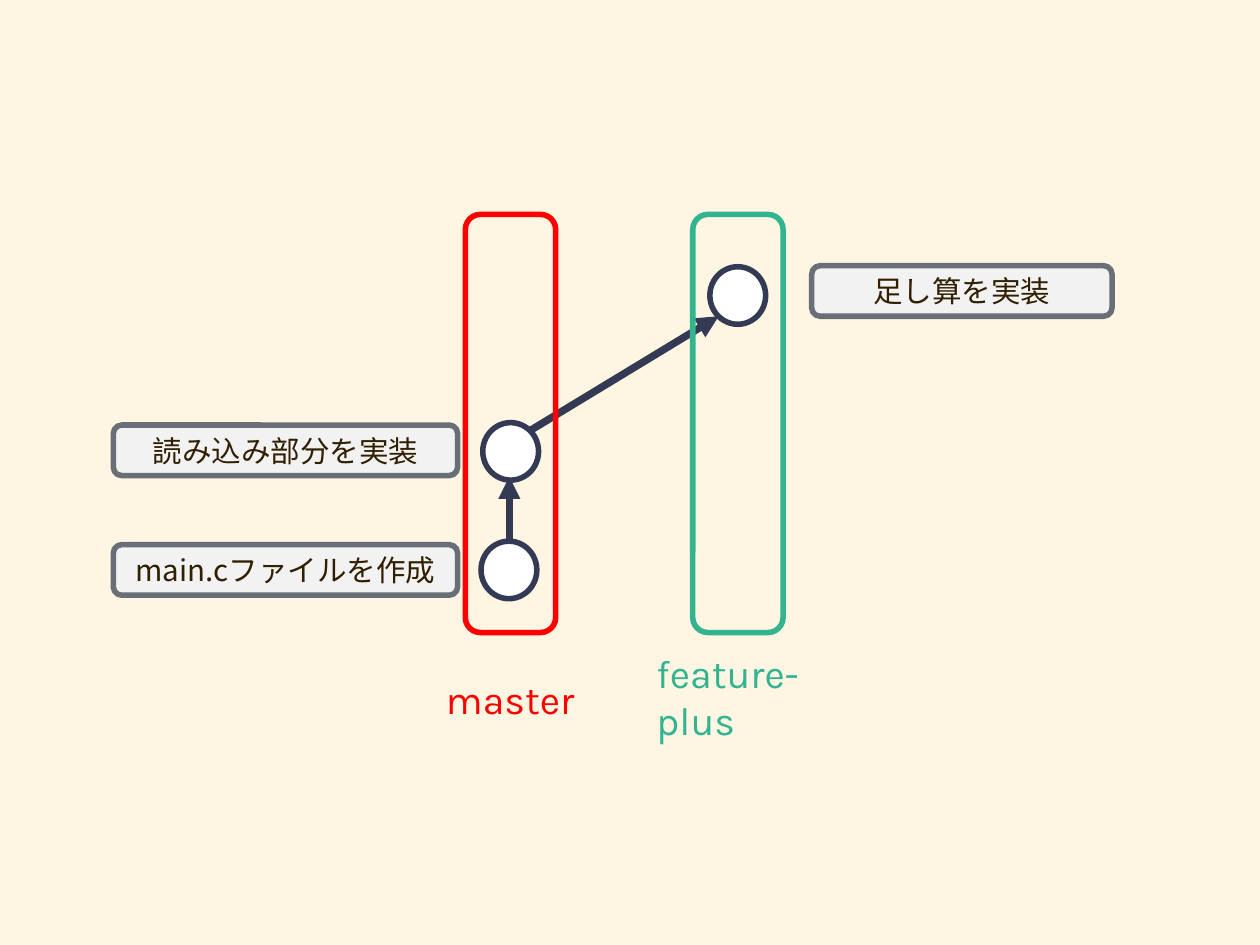
"""Build a slide of a commit history with a master and a feature-plus branch."""
import pptx
import pptx.util
import pptx.dml.color
import pptx.enum.shapes
import pptx.enum.text
import pptx.oxml.ns
import lxml.etree

Cm, Pt = pptx.util.Cm, pptx.util.Pt
SHAPE = pptx.enum.shapes.MSO_SHAPE
ALIGN = pptx.enum.text.PP_ALIGN
qn = pptx.oxml.ns.qn
NAVY, RED, GREEN = "343A54", "FF0000", "33B490"


def color(value):
    return pptx.dml.color.RGBColor.from_string(value)


def write(sp, text, font, size, ink, align):
    tf = sp.text_frame
    margins = {f"margin_{side}": Cm(0.15) for side in ("left", "right", "top", "bottom")}
    frame = {"word_wrap": True, "vertical_anchor": pptx.enum.text.MSO_ANCHOR.MIDDLE}
    for name, value in {**margins, **frame}.items():
        setattr(tf, name, value)
    p = tf.paragraphs[0]
    p.alignment = align
    r = p.add_run()
    r.text = text
    for name, value in {"name": font, "size": Pt(size)}.items():
        setattr(r.font, name, value)
    r.font.color.rgb = color(ink)
    lxml.etree.SubElement(r.font._element, qn("a:ea"), typeface=font)


prs = pptx.Presentation()
prs.slide_width, prs.slide_height = Cm(36.12), Cm(27.1)
s = prs.slides.add_slide(prs.slide_layouts[6])
s.background.fill.solid()
s.background.fill.fore_color.rgb = color("FFF5E3")

labels = [
    (3.25, 15.62, 9.87, "main.cファイルを作成"),
    (3.25, 12.19, 9.87, "読み込み部分を実装"),
    (23.27, 7.62, 8.61, "足し算を実装"),
]
commits = [(20.35, 7.65), (13.84, 12.12), (13.79, 15.52)]
arrows = [(15.21, 12.34, 20.6, 9.07), (14.6, 15.54, 14.6, 13.67)]
branches = [
    (19.86, GREEN, "feature-plus", 18.67, 19.15, ALIGN.LEFT),
    (13.34, RED, "master", 11.33, 19.2, ALIGN.CENTER),
]

boxes = [(SHAPE.ROUNDED_RECTANGLE, x, y, w, 1.45, "F2F2F2", "686F76", text)
         for x, y, w, text in labels]
boxes += [(SHAPE.FLOWCHART_CONNECTOR, x, y, 1.6, 1.65, "FFFFFF", NAVY, None)
          for x, y in commits]
lanes = [(SHAPE.ROUNDED_RECTANGLE, x, 6.15, 2.59, 11.99, None, ink, None)
         for x, ink, *_ in branches]

for x1, y1, x2, y2 in arrows:
    cxn = s.shapes.add_connector(
        pptx.enum.shapes.MSO_CONNECTOR.STRAIGHT, Cm(x1), Cm(y1), Cm(x2), Cm(y2))
    cxn.line.width = Pt(6)
    cxn.line.color.rgb = color(NAVY)
    lxml.etree.SubElement(cxn.line._get_or_add_ln(), qn("a:tailEnd"), type="triangle")
    lxml.etree.SubElement(cxn._element.spPr, qn("a:effectLst"))

for kind, x, y, w, h, fill, line, text in boxes + lanes:
    sp = s.shapes.add_shape(kind, Cm(x), Cm(y), Cm(w), Cm(h))
    sp.shadow.inherit = False
    if fill:
        sp.fill.solid()
        sp.fill.fore_color.rgb = color(fill)
    else:
        sp.fill.background()
    sp.line.width = Pt(4.5)
    sp.line.color.rgb = color(line)
    if text:
        write(sp, text, "Noto Sans CJK JP", 24, "301F00", ALIGN.CENTER)

for _, ink, name, x, y, align in branches:
    sp = s.shapes.add_textbox(Cm(x), Cm(y), Cm(6.6), Cm(1.65))
    write(sp, name, "Karla", 32, ink, align)

prs.save("out.pptx")
